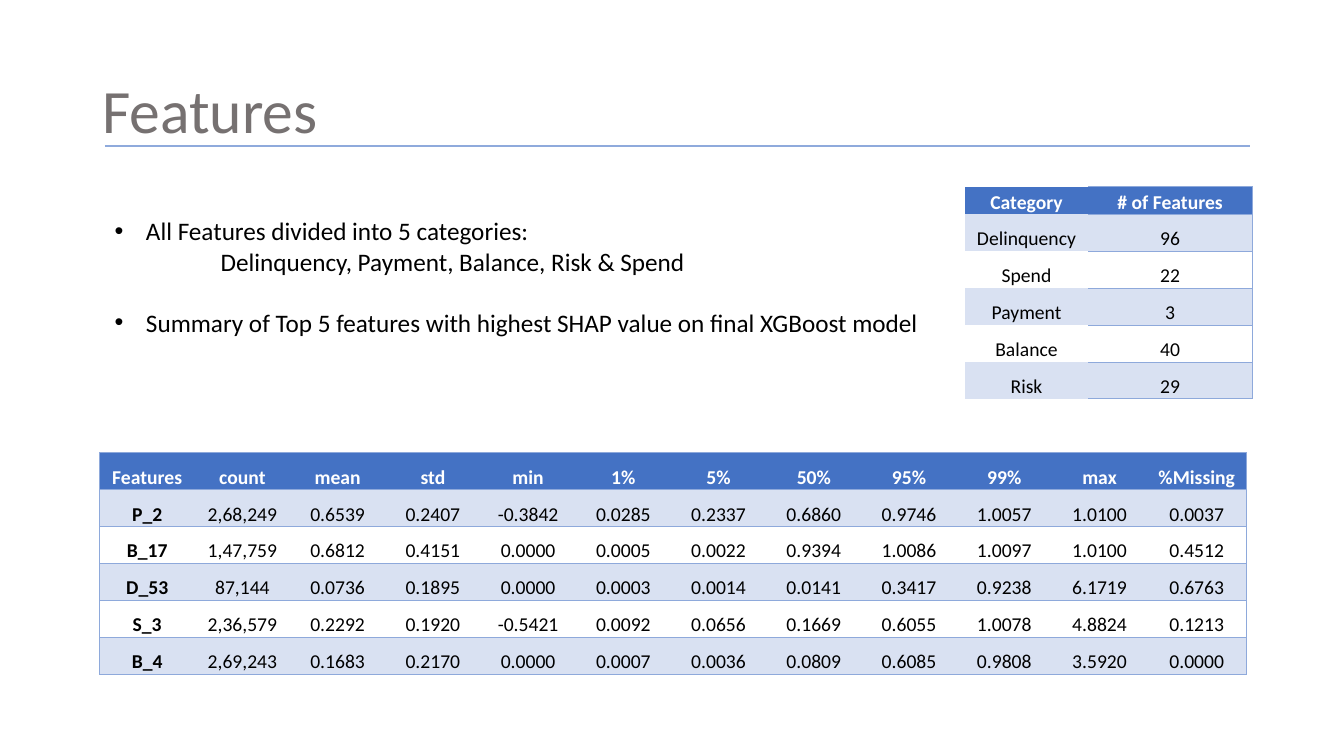
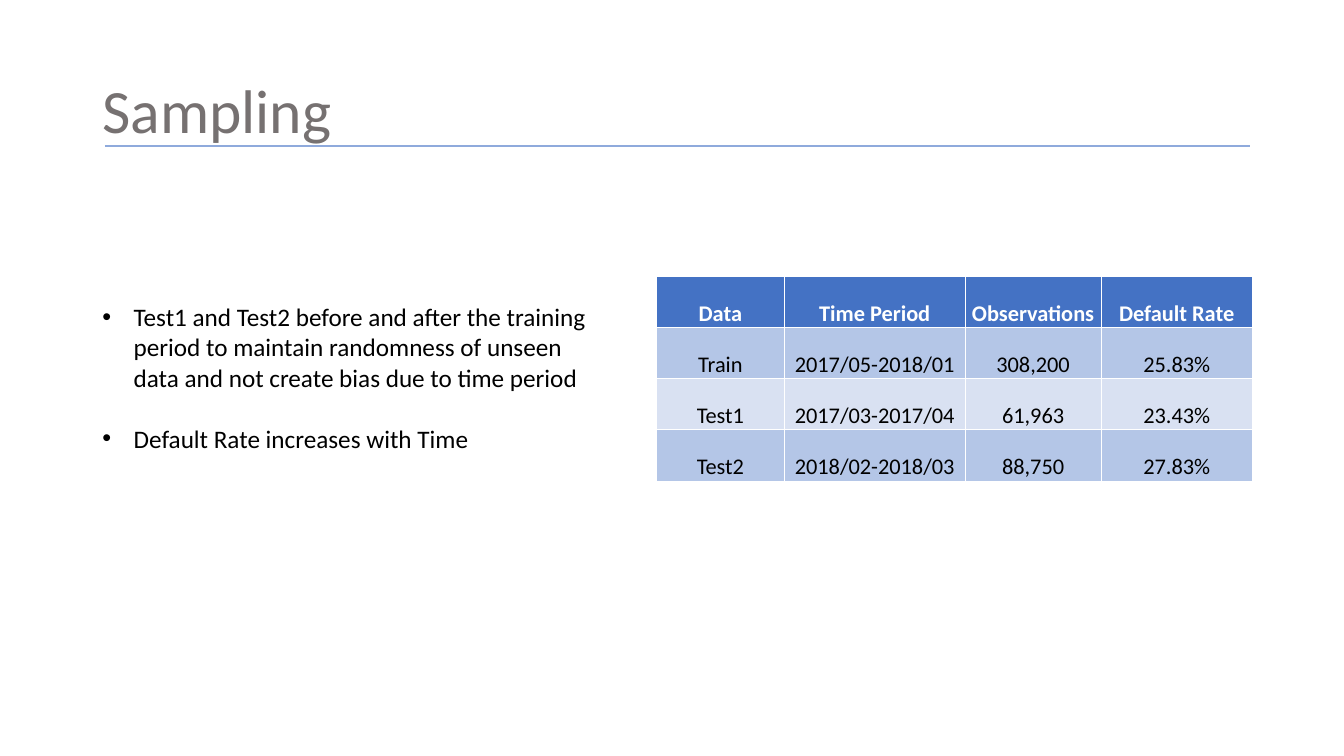
from lxml.etree import SubElement
from pptx import Presentation
from pptx.dml.color import RGBColor
from pptx.enum.shapes import MSO_CONNECTOR as Connector
from pptx.enum.text import MSO_ANCHOR as Anchor, PP_ALIGN as Align
from pptx.oxml.ns import qn
from pptx.util import Cm, Pt

FONT = "Calibri"
BLACK, WHITE, GREY = "000000", "FFFFFF", "767171"
HEADER, RULE, BORDER = "4472C4", "8FAADC", "8EA9DB"
PALE, MID = "D9E1F2", "B4C6E7"
BULLET_INDENT = 0.79
LINE_GAP = 22

CATEGORIES = [
    ("Category", "# of Features"),
    ("Delinquency", "96"),
    ("Spend", "22"),
    ("Payment", "3"),
    ("Balance", "40"),
    ("Risk", "29"),
]
SUMMARY = [row.split() for row in (
    "Features count mean std min 1% 5% 50% 95% 99% max %Missing",
    "P_2 2,68,249 0.6539 0.2407 -0.3842 0.0285 0.2337 0.6860 0.9746 1.0057 1.0100 0.0037",
    "B_17 1,47,759 0.6812 0.4151 0.0000 0.0005 0.0022 0.9394 1.0086 1.0097 1.0100 0.4512",
    "D_53 87,144 0.0736 0.1895 0.0000 0.0003 0.0014 0.0141 0.3417 0.9238 6.1719 0.6763",
    "S_3 2,36,579 0.2292 0.1920 -0.5421 0.0092 0.0656 0.1669 0.6055 1.0078 4.8824 0.1213",
    "B_4 2,69,243 0.1683 0.2170 0.0000 0.0007 0.0036 0.0809 0.6085 0.9808 3.5920 0.0000",
)]
SAMPLES = [
    ("Data", "Time Period", "Observations", "Default Rate"),
    ("Train", "2017/05-2018/01", "308,200", "25.83%"),
    ("Test1", "2017/03-2017/04", "61,963", "23.43%"),
    ("Test2", "2018/02-2018/03", "88,750", "27.83%"),
]


def colour(code):
    return RGBColor.from_string(code)


def write(para, text, size=18, color=BLACK, bold=False, align=Align.LEFT,
          before=0, indent=0, bullet=False, spacing=None):
    para.alignment = align
    para.space_before = Pt(before)
    para.line_spacing = spacing
    props = para._p.get_or_add_pPr()
    props.set("marL", str(Cm(indent)))
    if bullet:
        props.set("indent", str(-Cm(indent)))
        SubElement(props, qn("a:buFont"), typeface="Arial")
        SubElement(props, qn("a:buChar"), char="•")
    span = para.add_run()
    span.text = text
    span.font.name, span.font.size, span.font.bold = FONT, Pt(size), bold
    span.font.color.rgb = colour(color)


def add_text_frame(page, left, top, width, height, anchor=Anchor.TOP):
    box = page.shapes.add_textbox(Cm(left), Cm(top), Cm(width), Cm(height))
    frame = box.text_frame
    frame.word_wrap = True
    frame.vertical_anchor = anchor
    return frame


def add_titled_page(deck, title):
    page = deck.slides.add_slide(deck.slide_layouts[6])
    frame = add_text_frame(page, 2.33, 1.01, 29.21, 3.68, Anchor.MIDDLE)
    write(frame.paragraphs[0], title, size=44, color=GREY, spacing=0.9)
    rule = page.shapes.add_connector(
        Connector.STRAIGHT, Cm(2.64), Cm(3.68), Cm(31.5), Cm(3.68))
    rule.line.color.rgb = colour(RULE)
    rule.line.width = Pt(2)
    SubElement(rule._element.spPr, qn("a:effectLst"))
    return page


def add_points(page, left, top, width, height, points):
    """Place paragraphs, each given as its text and its format."""
    frame = add_text_frame(page, left, top, width, height)
    for index, (text, style) in enumerate(points):
        para = frame.add_paragraph() if index else frame.paragraphs[0]
        write(para, text, **style)


def set_borders(cell, sides, color):
    """Draw the sides named by letters L, R, T and B; hide the others."""
    props = cell._tc.get_or_add_tcPr()
    for side in "LRTB":
        line = SubElement(props, qn(f"a:ln{side}"), w=str(Pt(0.5)))
        if side in sides:
            fill = SubElement(line, qn("a:solidFill"))
            SubElement(fill, qn("a:srgbClr"), val=color)
        else:
            SubElement(line, qn("a:noFill"))


def add_grid(page, left, top, widths, heights, rows, sides, size=14,
             bands=(PALE, WHITE), border=BORDER, bold_names=False):
    """Place a table; sides lists the borders drawn in each column."""
    table = page.shapes.add_table(
        len(rows), len(widths), Cm(left), Cm(top),
        Cm(sum(widths)), Cm(sum(heights))).table
    table.first_row = table.horz_banding = False
    for column, width in zip(table.columns, widths):
        column.width = Cm(width)
    for r, values in enumerate(rows):
        table.rows[r].height = Cm(heights[r])
        for c, value in enumerate(values):
            cell = table.cell(r, c)
            set_borders(cell, sides[c], border)
            cell.fill.solid()
            cell.fill.fore_color.rgb = colour(bands[(r - 1) % 2] if r else HEADER)
            cell.margin_left = cell.margin_right = cell.margin_top = Cm(0.03)
            cell.margin_bottom = 0
            cell.vertical_anchor = Anchor.BOTTOM
            write(cell.text_frame.paragraphs[0], value, size=size,
                  color=BLACK if r else WHITE, align=Align.CENTER,
                  bold=r == 0 or (bold_names and c == 0))


def build_features(deck):
    page = add_titled_page(deck, "Features")
    add_grid(page, 24.31, 4.7, [3.12, 4.12], [0.7] + [0.93] * 5,
             CATEGORIES, ["", "RTB"])
    bullet = dict(bullet=True, indent=BULLET_INDENT)
    add_points(page, 2.64, 5.31, 21.26, 4.11, [
        ("All Features divided into 5 categories:", bullet),
        ("Delinquency, Payment, Balance, Risk & Spend", dict(indent=2.67)),
        ("Summary of Top 5 features with highest SHAP value on final XGBoost model",
         dict(bullet, before=LINE_GAP)),
    ])
    add_grid(page, 2.51, 11.4, [2.4] * 11 + [2.5], [0.93] * 6,
             SUMMARY, ["LTB"] + ["TB"] * 10 + ["RTB"], bold_names=True)


def build_sampling(deck):
    page = add_titled_page(deck, "Sampling")
    add_grid(page, 16.54, 6.96, [3.23, 4.55, 3.43, 3.81], [1.29] * 4,
             SAMPLES, ["LRTB"] * 4, size=16, bands=(MID, PALE), border=WHITE)
    bullet = dict(bullet=True, indent=BULLET_INDENT)
    add_points(page, 2.33, 7.47, 13.08, 4.11, [
        ("Test1 and Test2 before and after the training period to maintain "
         "randomness of unseen data and not create bias due to time period", bullet),
        ("Default Rate increases with Time", dict(bullet, before=LINE_GAP)),
    ])


def main():
    deck = Presentation()
    deck.slide_width, deck.slide_height = Cm(33.87), Cm(19.05)
    build_features(deck)
    build_sampling(deck)
    deck.save("out.pptx")


if __name__ == "__main__":
    main()
